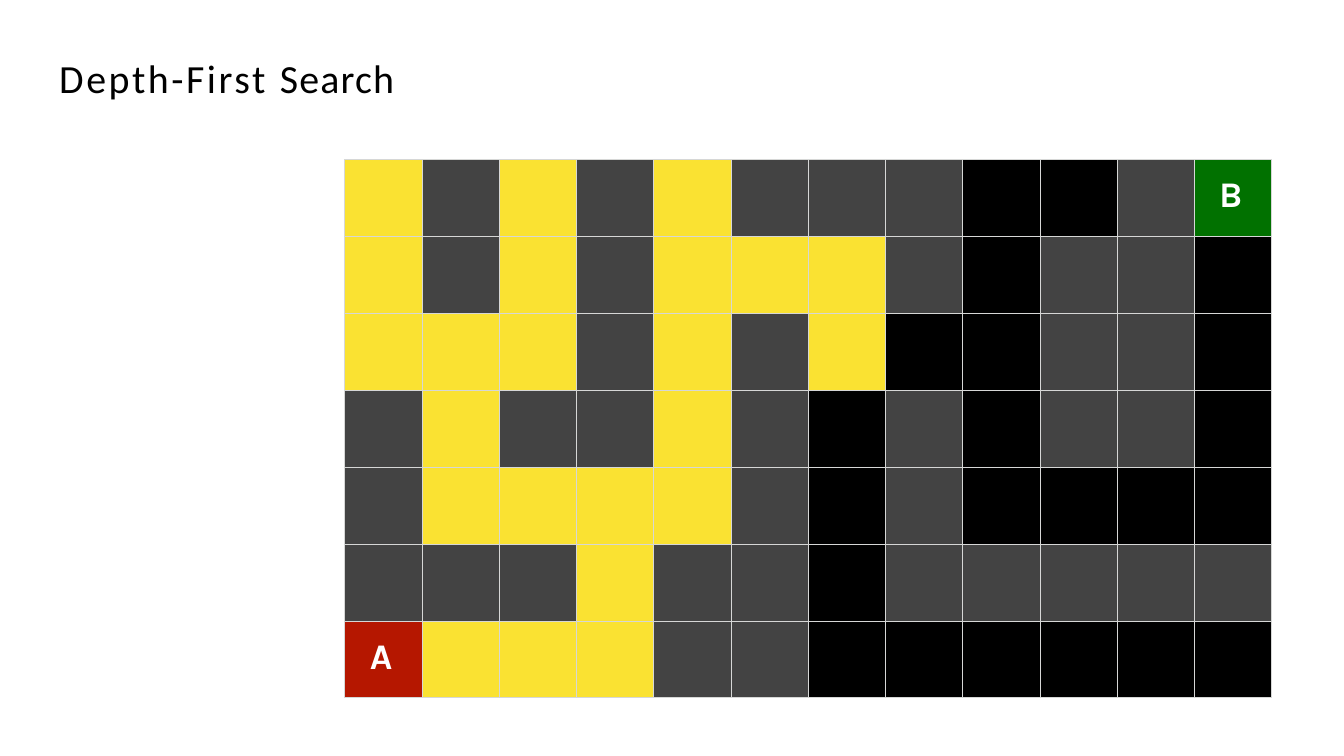
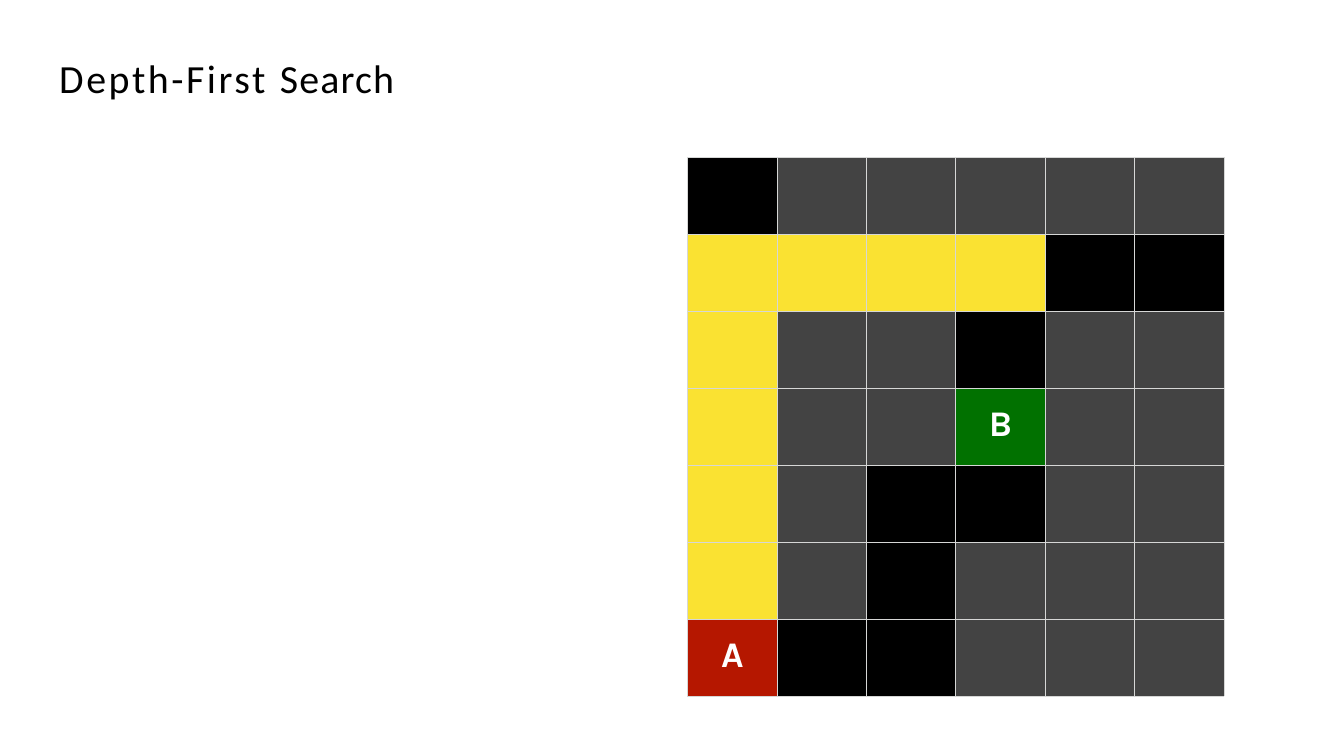
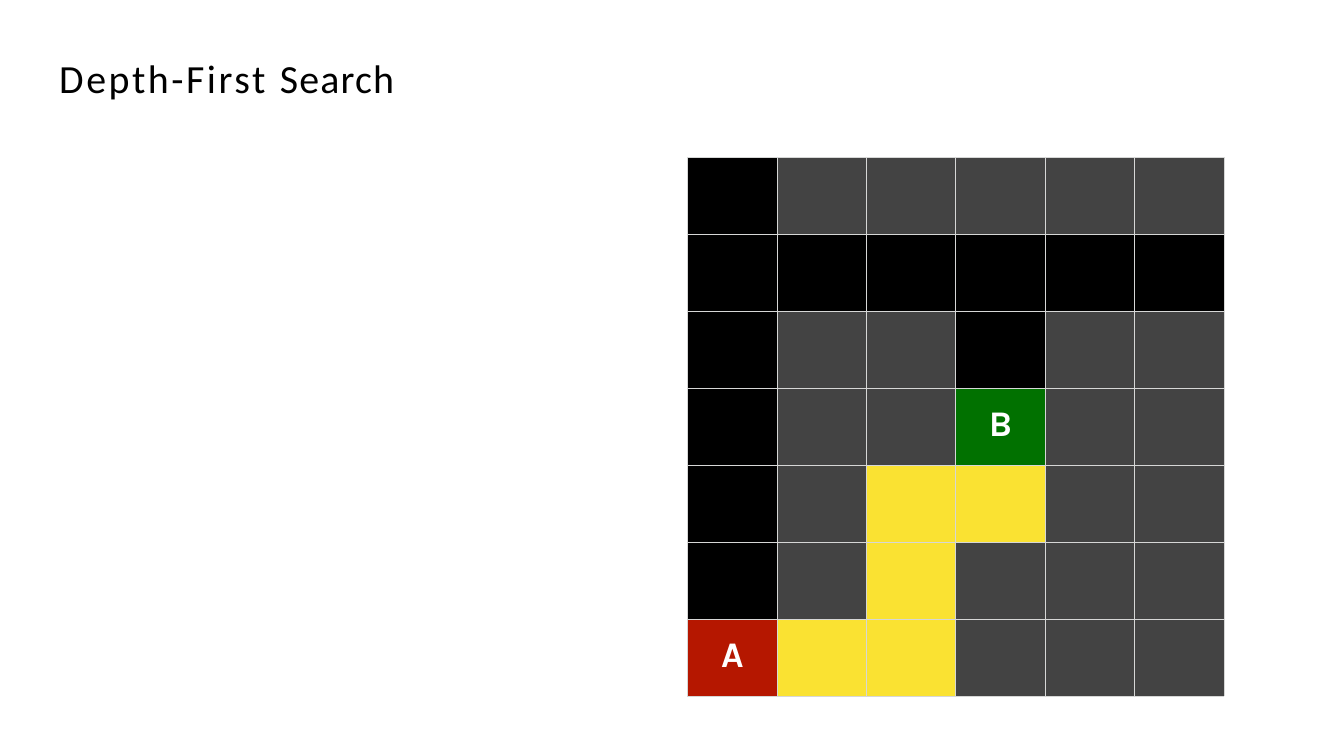
from dataclasses import dataclass

from lxml import etree
from pptx import Presentation
from pptx.dml.color import RGBColor
from pptx.enum.text import MSO_ANCHOR, PP_ALIGN
from pptx.oxml.ns import qn
from pptx.slide import Slide
from pptx.table import _Cell
from pptx.util import Inches, Pt

BLACK = RGBColor(0x00, 0x00, 0x00)
WHITE = RGBColor(0xFF, 0xFF, 0xFF)
GRAY = RGBColor(0x43, 0x43, 0x43)
YELLOW = RGBColor(0xFA, 0xE2, 0x32)
RED = RGBColor(0xB5, 0x17, 0x00)
GREEN = RGBColor(0x01, 0x71, 0x00)
GRID = RGBColor(0xD6, 0xD7, 0xD6)

CENTER = PP_ALIGN.CENTER
TOP = MSO_ANCHOR.TOP
MIDDLE = MSO_ANCHOR.MIDDLE

# Wall, open square, explored square, start and goal
FILLS = {"#": GRAY, ".": BLACK, "*": YELLOW, "A": RED, "B": GREEN}
LABELS = "AB"

TITLE_RUNS = (("Depth-First ", 300), ("Search", 140))
TITLE_FONT = {"name": "Calibri", "size": Pt(47)}
LABEL_FONT = {"name": "Karla", "size": Pt(42.5), "bold": True}
TITLE_FRAME = {
    "margin_left": Inches(0.01), "margin_top": Inches(0.01),
    "margin_right": 0, "margin_bottom": 0,
    "vertical_anchor": MIDDLE, "word_wrap": True,
}
LABEL_CELL = {
    "margin_left": 0, "margin_top": Inches(0.25),
    "margin_bottom": 0, "vertical_anchor": TOP,
}


@dataclass(frozen=True)
class Maze:
    left: float
    top: float
    width: float
    rows: tuple[str, ...]
    label_right: float = 0
    height: float = 8.81


MAZES = (
    Maze(5.64, 2.61, 15.17, (
        "*#*#*###..#B",
        "*#*#***#.##.",
        "***#*#*..##.",
        "#*##*#.#.##.",
        "#****#.#....",
        "###*##.#####",
        "A***##......",
    ), label_right=0.07),
    Maze(11.25, 2.58, 8.78, (
        ".#####",
        "****..",
        "*##.##",
        "*##B##",
        "*#..##",
        "*#.###",
        "A..###",
    )),
    Maze(11.25, 2.58, 8.78, (
        ".#####",
        "......",
        ".##.##",
        ".##B##",
        ".#**##",
        ".#*###",
        "A**###",
    )),
)


def set_format(target: object, values: dict) -> None:
    for name, value in values.items():
        setattr(target, name, value)


def add_title(s: Slide) -> None:
    box = s.shapes.add_textbox(Inches(0.96), Inches(0.86), Inches(6.1), Inches(0.81))
    tf = box.text_frame
    set_format(tf, TITLE_FRAME)
    p = tf.paragraphs[0]
    for text, spacing in TITLE_RUNS:
        r = p.add_run()
        r.text = text
        set_format(r.font, TITLE_FONT)
        r.font.color.rgb = BLACK
        r.font._element.set("spc", str(spacing))


def add_borders(cell: _Cell) -> None:
    """Rule all four sides; call before setting the fill, which must follow."""
    props = cell._tc.get_or_add_tcPr()
    for side in "LRTB":
        line = etree.SubElement(props, qn(f"a:ln{side}"), w=str(Pt(1)))
        fill = etree.SubElement(line, qn("a:solidFill"))
        etree.SubElement(fill, qn("a:srgbClr"), val=str(GRID))


def add_label(cell: _Cell, text: str, right: float) -> None:
    set_format(cell, LABEL_CELL)
    cell.margin_right = Inches(right)
    p = cell.text_frame.paragraphs[0]
    p.alignment = CENTER
    r = p.add_run()
    r.text = text
    set_format(r.font, LABEL_FONT)
    r.font.color.rgb = WHITE


def add_maze(s: Slide, maze: Maze) -> None:
    row_count, col_count = len(maze.rows), len(maze.rows[0])
    table = s.shapes.add_table(
        row_count, col_count, Inches(maze.left), Inches(maze.top),
        Inches(maze.width), Inches(maze.height),
    ).table
    set_format(table, {"first_row": False, "horz_banding": False})
    for col in table.columns:
        col.width = Inches(maze.width / col_count)
    for row in table.rows:
        row.height = Inches(maze.height / row_count)
    for y, squares in enumerate(maze.rows):
        for x, square in enumerate(squares):
            cell = table.cell(y, x)
            add_borders(cell)
            cell.fill.solid()
            cell.fill.fore_color.rgb = FILLS[square]
            if square in LABELS:
                add_label(cell, square, maze.label_right)


def main() -> None:
    prs = Presentation()
    prs.slide_width, prs.slide_height = Inches(21.99), Inches(12.37)
    blank = prs.slide_layouts[6]
    for maze in MAZES:
        s = prs.slides.add_slide(blank)
        add_maze(s, maze)
        add_title(s)
    prs.save("out.pptx")


if __name__ == "__main__":
    main()
